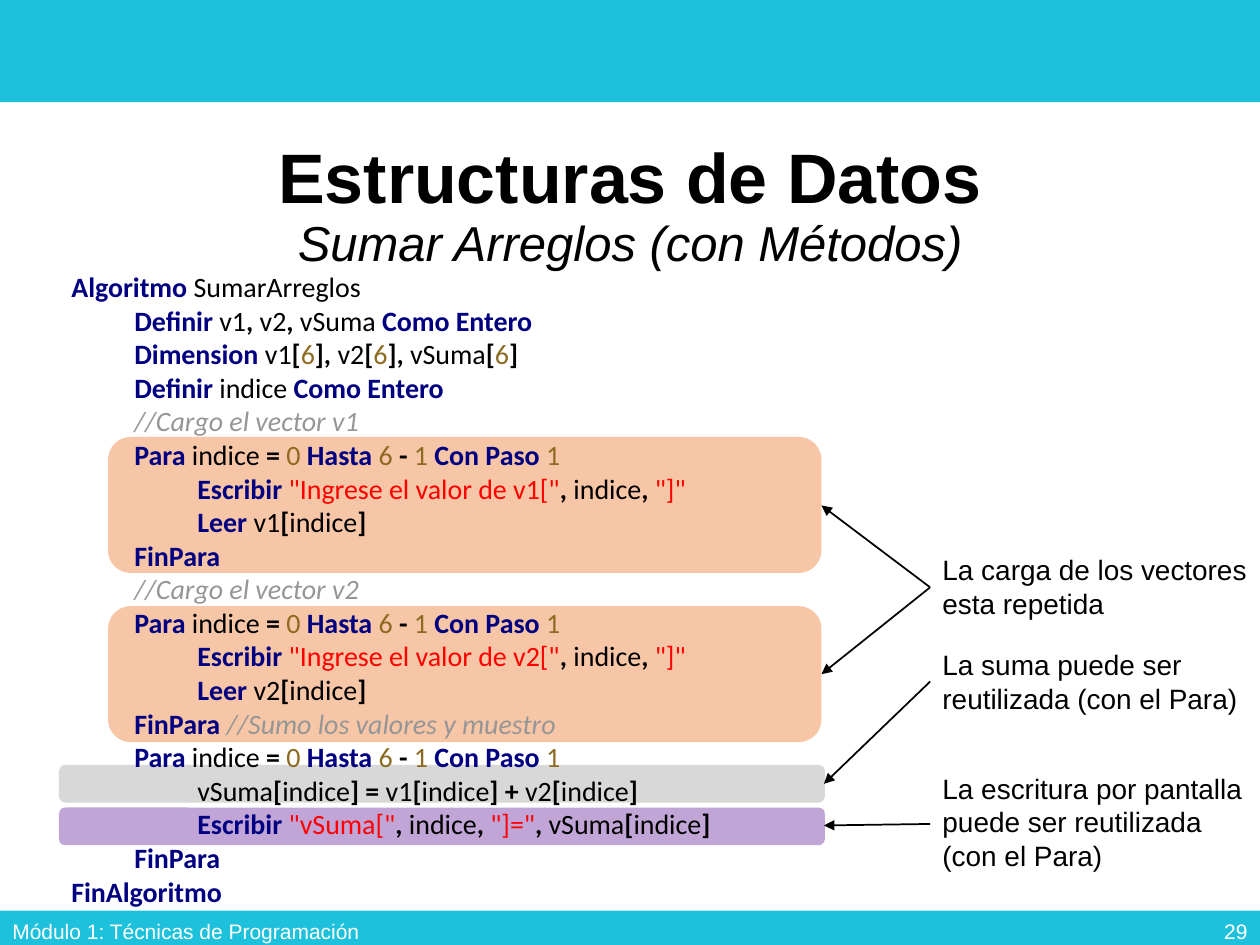
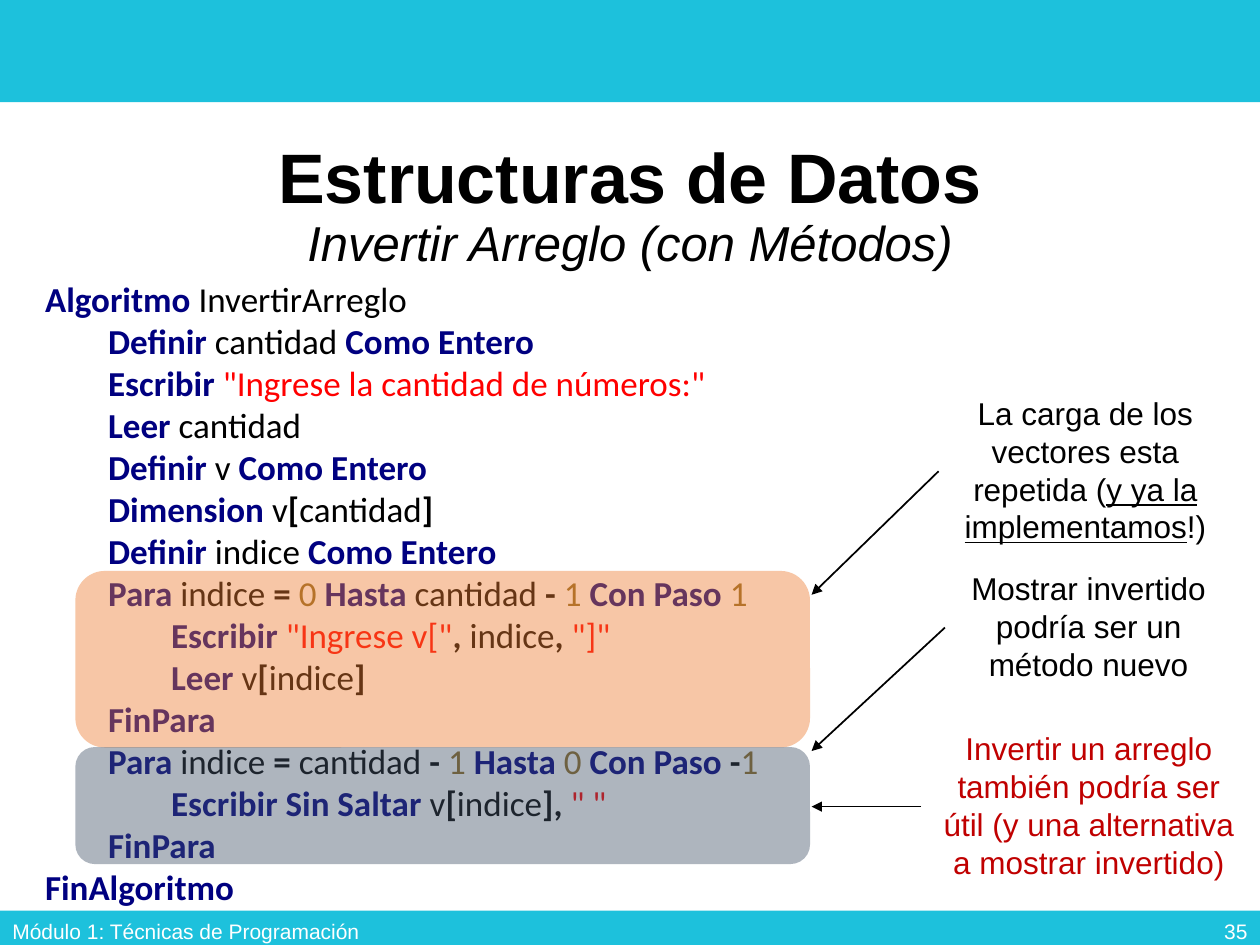
"""Build two slides on array algorithms with highlighted pseudocode."""
from itertools import groupby

from lxml.etree import SubElement
from pptx import Presentation
from pptx.dml.color import RGBColor
from pptx.enum.shapes import MSO_CONNECTOR as CONN, MSO_SHAPE as SHAPE
from pptx.enum.text import MSO_ANCHOR as ANCHOR, MSO_AUTO_SIZE as FIT, PP_ALIGN as ALIGN
from pptx.oxml.ns import qn
from pptx.util import Cm, Pt

CYAN, BLACK, WHITE, RED = "1DC1DC", "000000", "FFFFFF", "C00000"
ORANGE, GREY, PURPLE, SLATE = "ED7D31", "A5A5A5", "7030A0", "44546A"
TITLE_FONT, CODE_FONT = "Arial", "Calibri"
KEYWORDS = set("Algoritmo Definir Dimension Como Entero Para Hasta Con Paso Escribir "
               "Sin Saltar Leer FinPara FinAlgoritmo".split())
CODE_STYLES = {
    "keyword": dict(color="000080", bold=True),
    "number": dict(color="8E6B23"),
    "string": dict(color="FF0000"),
    "comment": dict(color="969696", italic=True),
    "operator": dict(color=BLACK, bold=True),
    "name": dict(color=BLACK),
}

SUM_CODE = """\
Algoritmo SumarArreglos
    Definir v1, v2, vSuma Como Entero
    Dimension v1[6], v2[6], vSuma[6]
    Definir indice Como Entero
    //Cargo el vector v1
    Para indice = 0 Hasta 6 - 1 Con Paso 1
        Escribir "Ingrese el valor de v1[", indice, "]"
        Leer v1[indice]
    FinPara
    //Cargo el vector v2
    Para indice = 0 Hasta 6 - 1 Con Paso 1
        Escribir "Ingrese el valor de v2[", indice, "]"
        Leer v2[indice]
    FinPara //Sumo los valores y muestro
    Para indice = 0 Hasta 6 - 1 Con Paso 1
        vSuma[indice] = v1[indice] + v2[indice]
        Escribir "vSuma[", indice, "]=", vSuma[indice]
    FinPara
FinAlgoritmo"""

INVERT_CODE = """\
Algoritmo InvertirArreglo
    Definir cantidad Como Entero
    Escribir "Ingrese la cantidad de números:"
    Leer cantidad
    Definir v Como Entero
    Dimension v[cantidad]
    Definir indice Como Entero
    Para indice = 0 Hasta cantidad - 1 Con Paso 1
        Escribir "Ingrese v[", indice, "]"
        Leer v[indice]
    FinPara
    Para indice = cantidad - 1 Hasta 0 Con Paso -1
        Escribir Sin Saltar v[indice], " "
    FinPara
FinAlgoritmo"""


def rgb(color):
    return RGBColor.from_string(color)


def add_run(p, text, size, color=BLACK, font=TITLE_FONT, bold=False, italic=False,
            underline=False):
    r = p.add_run()
    r.text = text
    f = r.font
    f.name, f.size, f.bold, f.italic, f.underline = font, Pt(size), bold, italic, underline
    f.color.rgb = rgb(color)


def add_box(s, at, anchor=ANCHOR.TOP):
    tf = s.shapes.add_textbox(*map(Cm, at)).text_frame
    tf.word_wrap = True
    tf.vertical_anchor = anchor
    return tf


def add_panel(s, kind, at, color, alpha=None):
    sp = s.shapes.add_shape(kind, *map(Cm, at))
    sp.shadow.inherit = False
    sp.line.fill.background()
    sp.fill.solid()
    sp.fill.fore_color.rgb = rgb(color)
    if alpha:
        clr = sp.element.spPr.find(qn("a:solidFill")).find(qn("a:srgbClr"))
        SubElement(clr, qn("a:alpha")).set("val", str(alpha * 1000))


def add_highlight(s, at, color):
    add_panel(s, SHAPE.ROUNDED_RECTANGLE, at, color, alpha=43)


def add_arrow(s, start, end):
    c = s.shapes.add_connector(CONN.STRAIGHT, *map(Cm, start + end))
    c.line.color.rgb = rgb(BLACK)
    c.line.width = Pt(1)
    SubElement(c.line._get_or_add_ln(), qn("a:tailEnd")).set("type", "triangle")
    SubElement(c.element.spPr, qn("a:effectLst"))


def add_note(s, at, paragraphs, size, align=ALIGN.LEFT, color=BLACK):
    """Write paragraphs of (text, underline) runs."""
    tf = add_box(s, at)
    for i, runs in enumerate(paragraphs):
        p = tf.add_paragraph() if i else tf.paragraphs[0]
        p.alignment = align
        for text, underline in runs:
            add_run(p, text, size, color, underline=underline)


def tokenize(line):
    """Yield (kind, text) pairs, each with the spaces that follow it."""
    i = 0
    while i < len(line):
        j = i + 1
        if line.startswith("//", i):
            kind, j = "comment", len(line)
        elif line[i] == '"':
            kind, j = "string", line.index('"', j) + 1
        elif line[i].isalnum():
            while j < len(line) and line[j].isalnum():
                j += 1
            word = line[i:j]
            kind = ("keyword" if word in KEYWORDS else
                    "number" if word.isdigit() else "name")
        else:
            kind = "operator"
        while j < len(line) and line[j] == " ":
            j += 1
        yield kind, line[i:j]
        i = j


def add_code(s, at, code, size):
    tf = add_box(s, at)
    for i, line in enumerate(code.splitlines()):
        p = tf.add_paragraph() if i else tf.paragraphs[0]
        text = line.lstrip()
        p.level = (len(line) - len(text)) // 4
        for kind, group in groupby(tokenize(text), key=lambda token: token[0]):
            add_run(p, "".join(t for _, t in group), size, font=CODE_FONT,
                    **CODE_STYLES[kind])


def add_title(s, subtitle):
    title = s.shapes.title
    title.left, title.top, title.width, title.height = map(Cm, (1.75, 2.49, 21.9, 3.38))
    tf = title.text_frame
    tf.auto_size = FIT.NONE
    tf.vertical_anchor = ANCHOR.MIDDLE
    p = tf.paragraphs[0]
    p.alignment = ALIGN.CENTER
    p.line_spacing = 0.9
    add_run(p, "Estructuras de Datos", 40, bold=True)
    p.add_line_break()
    add_run(p, subtitle, 28, italic=True)


def add_footer(s, at, text, align):
    p = add_box(s, at, ANCHOR.MIDDLE).paragraphs[0]
    p.alignment = align
    add_run(p, text, 12, WHITE)


def new_slide(prs, subtitle, number):
    s = prs.slides.add_slide(prs.slide_layouts[5])
    for top, height in ((0, 2.06), (18.36, 0.69)):
        add_panel(s, SHAPE.RECTANGLE, (0, top, 25.4, height), CYAN)
    add_title(s, subtitle)
    add_footer(s, (0, 18.26, 8.59, 1.02), "Módulo 1: Técnicas de Programación", ALIGN.LEFT)
    add_footer(s, (19.68, 18.26, 5.72, 1.02), str(number), ALIGN.RIGHT)
    return s


def build_sum_slide(prs):
    s = new_slide(prs, "Sumar Arreglos (con Métodos)", 29)
    for top in (8.81, 12.22):
        add_highlight(s, (2.18, top, 14.38, 2.74), ORANGE)
    for top, color in ((15.42, GREY), (16.28, PURPLE)):
        add_highlight(s, (1.19, top, 15.44, 0.76), color)
    add_code(s, (1.19, 5.31, 13.82, 13.69), SUM_CODE, 16)
    notes = (
        (11.02, 1.63, ["La carga de los vectores esta repetida"]),
        (12.93, 1.63, ["La suma puede ser reutilizada (con el Para)"]),
        (15.42, 2.39, ["La escritura por pantalla puede ser reutilizada",
                       "(con el Para)"]),
    )
    for top, height, lines in notes:
        add_note(s, (18.75, top, 6.65, height), [[(t, False)] for t in lines], 16)
    for y, end in ((11.84, (16.56, 10.19)), (11.84, (16.56, 13.59)),
                   (13.74, (16.61, 15.8)), (16.61, (16.61, 16.64))):
        add_arrow(s, (18.75, y), end)


def build_invert_slide(prs):
    s = new_slide(prs, "Invertir Arreglo (con Métodos)", 35)
    add_code(s, (0.66, 5.46, 15.67, 13.08), INVERT_CODE, 20)
    for top, height, color in ((11.51, 3.56, ORANGE), (15.06, 2.36, SLATE)):
        add_highlight(s, (1.52, top, 14.81, height), color)
    notes = (
        ((18.92, 7.82, 5.92, 3.33), BLACK,
         [("La carga de los vectores esta repetida (", False),
          ("y ya la implementamos", True), ("!)", False)]),
        ((19.05, 11.35, 5.79, 2.57), BLACK,
         [("Mostrar invertido podría ser un método nuevo", False)]),
        ((18.57, 14.58, 6.76, 3.33), RED,
         [("Invertir un arreglo también podría ser útil "
           "(y una alternativa a mostrar invertido)", False)]),
    )
    for at, color, runs in notes:
        add_note(s, at, [runs], 18, ALIGN.CENTER, color)
    for start, y in (((18.92, 9.5), 11.99), ((19.05, 12.65), 15.14),
                     ((18.57, 16.26), 16.26)):
        add_arrow(s, start, (16.36, y))


def main():
    prs = Presentation()
    prs.slide_width, prs.slide_height = Cm(25.4), Cm(19.05)
    build_sum_slide(prs)
    build_invert_slide(prs)
    prs.save("out.pptx")


if __name__ == "__main__":
    main()
